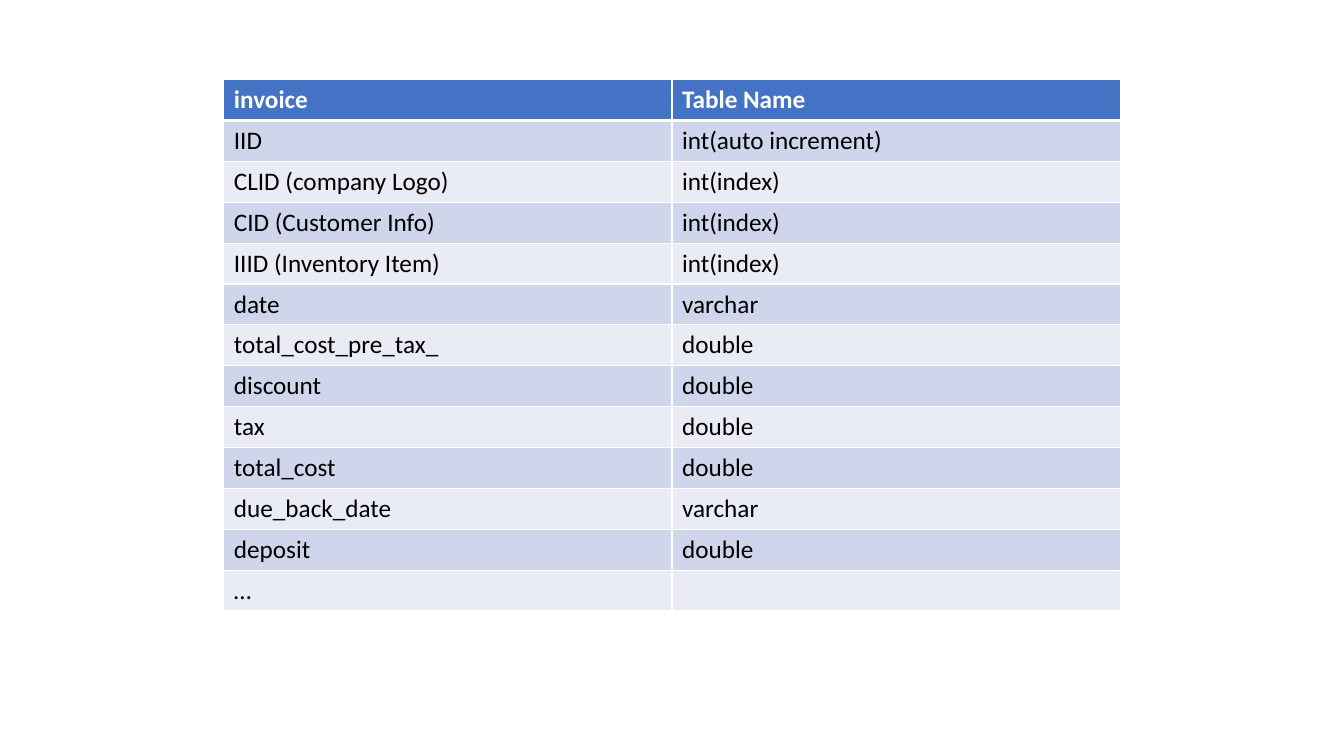
from lxml.etree import SubElement
from pptx import Presentation
from pptx.dml.color import RGBColor
from pptx.oxml.ns import qn
from pptx.util import Inches, Pt

COLORS = {
    "header": "4472C4",
    "odd_row": "CFD5EA",
    "even_row": "E9EBF5",
    "border": "FFFFFF",
    "header_text": "FFFFFF",
    "body_text": "000000",
}

INVOICE_FIELDS = [
    ("invoice", "Table Name"),
    ("IID", "int(auto increment)"),
    ("CLID (company Logo)", "int(index)"),
    ("CID (Customer Info)", "int(index)"),
    ("IIID (Inventory Item)", "int(index)"),
    ("date", "varchar"),
    ("total_cost_pre_tax_", "double"),
    ("discount", "double"),
    ("tax", "double"),
    ("total_cost", "double"),
    ("due_back_date", "varchar"),
    ("deposit", "double"),
    ("…", ""),
]


def set_borders(cell, **widths):
    """Draw solid borders; widths maps L, R, T, B to points, in that order."""
    properties = cell._tc.get_or_add_tcPr()
    for side, width in widths.items():
        line = SubElement(properties, qn(f"a:ln{side}"), w=str(Pt(width)))
        fill = SubElement(line, qn("a:solidFill"))
        SubElement(fill, qn("a:srgbClr"), val=COLORS["border"])


def style_cell(cell, row):
    is_header = row == 0
    # Borders come before the fill in the cell properties.
    set_borders(cell, L=1, R=1, T=3 if row == 1 else 1, B=3 if is_header else 1)
    band = "header" if is_header else "odd_row" if row % 2 else "even_row"
    cell.fill.solid()
    cell.fill.fore_color.rgb = RGBColor.from_string(COLORS[band])
    text_color = COLORS["header_text" if is_header else "body_text"]
    for run in cell.text_frame.paragraphs[0].runs:
        run.font.name = "Calibri"
        run.font.size = Pt(18)
        run.font.bold = is_header
        run.font.color.rgb = RGBColor.from_string(text_color)


def add_schema_table(slide, fields, left, top, width, height):
    table = slide.shapes.add_table(
        len(fields), len(fields[0]), left, top, width, height
    ).table
    for row, field in enumerate(fields):
        for column, text in enumerate(field):
            cell = table.cell(row, column)
            if text:
                cell.text_frame.text = text
            style_cell(cell, row)


def main():
    presentation = Presentation()
    presentation.slide_width = Inches(13.33)
    presentation.slide_height = Inches(7.5)
    slide = presentation.slides.add_slide(presentation.slide_layouts[6])
    add_schema_table(
        slide, INVOICE_FIELDS, Inches(2.22), Inches(0.79), Inches(8.89), Inches(5.27)
    )
    presentation.save("out.pptx")


if __name__ == "__main__":
    main()
